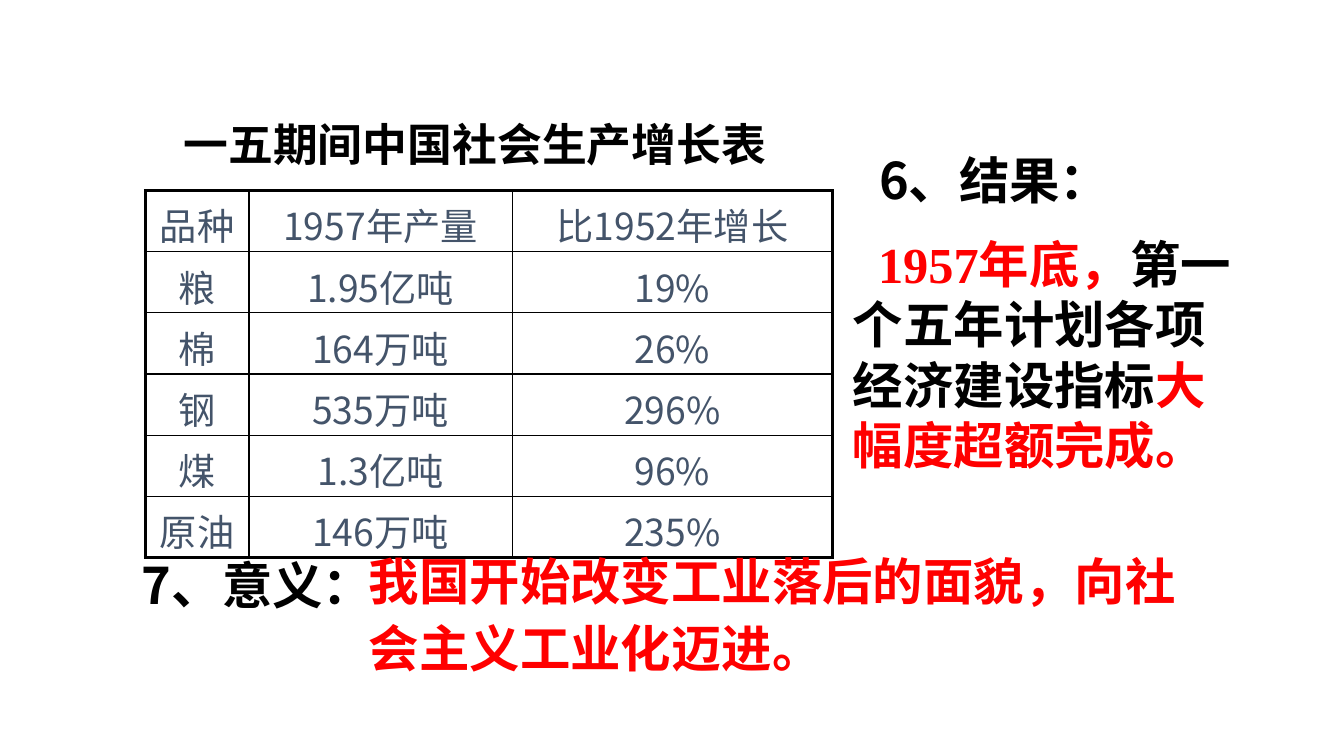
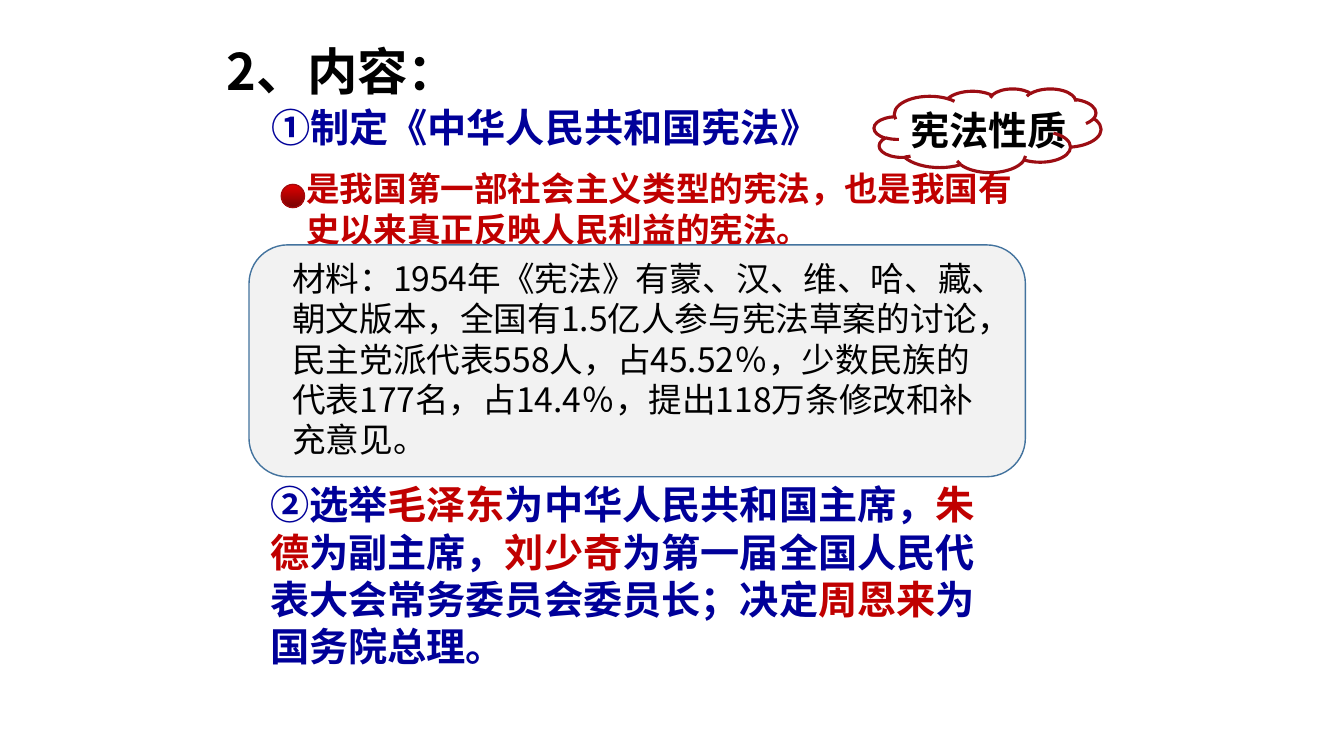
from dataclasses import dataclass
from itertools import product

from lxml.etree import SubElement
from pptx import Presentation
from pptx.dml.color import RGBColor as Rgb
from pptx.enum.shapes import MSO_SHAPE as Kind
from pptx.enum.text import MSO_ANCHOR as Anchor, MSO_AUTO_SIZE as Fit, PP_ALIGN as Align
from pptx.oxml.ns import qn
from pptx.util import Inches, Pt


@dataclass(frozen=True)
class Theme:
    black: str = "000000"
    red: str = "FF0000"
    deep: str = "C00000"
    navy: str = "000099"
    slate: str = "44546A"
    cloud: str = "9C0D13"
    ball: str = "A40A0D"
    glow: str = "E30000"
    shade: str = "760303"
    panel: str = "F2F2F2"
    edge: str = "43739E"
    sans: str = "Noto Sans CJK SC"
    serif: str = "Times New Roman"
    round: str = "Calibri"
    head: float = 36
    title: float = 32
    point: float = 28
    cell: float = 26.6
    body: float = 24
    thick: float = 2.25
    thin: float = 1


T = Theme()

ROWS = [
    ("品种", "1957年产量", "比1952年增长"),
    ("粮", "1.95亿吨", "19%"),
    ("棉", "164万吨", "26%"),
    ("钢", "535万吨", "296%"),
    ("煤", "1.3亿吨", "96%"),
    ("原油", "146万吨", "235%"),
]


def put(item, **vals):
    for key, val in vals.items():
        setattr(item, key, val)


def place(item, box):
    put(item, **dict(zip(("left", "top", "width", "height"), map(Inches, box))))


def write(frame, runs, size, bold=True, font=T.sans, indent=0, **form):
    para = frame.paragraphs[0]
    if indent:
        para._p.get_or_add_pPr().set("indent", str(Inches(indent)))
    put(para, **{"alignment": Align.LEFT, **form})
    for text, tint, *face in runs:
        run = para.add_run()
        run.text = text
        put(run.font, size=Pt(size), bold=bold, name=face[0] if face else font)
        run.font.color.rgb = Rgb.from_string(tint)
        SubElement(run._r.get_or_add_rPr(), qn("a:ea"), typeface=T.sans)


def label(slide, box, runs, size, wrap=True, **form):
    area = slide.shapes.add_textbox(*map(Inches, box))
    put(area.text_frame, word_wrap=wrap, auto_size=Fit.NONE)
    write(area.text_frame, runs, size, **form)


def head(slide, box, text, size):
    title = slide.shapes.title
    place(title, box)
    put(title.text_frame, word_wrap=True, auto_size=Fit.NONE, vertical_anchor=Anchor.TOP)
    write(title.text_frame, [(text, T.black)], size)


def shape(slide, kind, box, line, width):
    item = slide.shapes.add_shape(kind, *map(Inches, box))
    item.shadow.inherit = False
    item.fill.background()
    item.line.color.rgb = Rgb.from_string(line)
    item.line.width = Pt(width)
    return item


def border(cell, sides):
    props = cell._tc.get_or_add_tcPr()
    for side, width in sides.items():
        line = SubElement(props, qn("a:ln" + side), w=str(Pt(width)))
        fill = SubElement(line, qn("a:solidFill"))
        SubElement(fill, qn("a:srgbClr"), val=T.black)


def growth(slide, box, cols):
    last, end = len(ROWS) - 1, len(cols) - 1
    grid = slide.shapes.add_table(len(ROWS), len(cols), *map(Inches, box)).table
    put(grid, first_row=False, horz_banding=False)
    for col, width in zip(grid.columns, cols):
        col.width = Inches(width)
    for r, c in product(range(len(ROWS)), range(len(cols))):
        cell = grid.cell(r, c)
        outer = {"L": c == 0, "R": c == end, "T": r == 0, "B": r == last}
        border(cell, {side: T.thick if out else T.thin for side, out in outer.items()})
        cell.fill.background()
        put(cell, margin_left=0, margin_right=0, margin_top=Inches(0.07), margin_bottom=0)
        write(cell.text_frame, [(ROWS[r][c], T.slate)], T.cell, bold=False, alignment=Align.CENTER)


def result(slide, x, y):
    label(slide, (x + 0.26, y, 4.7, 0.71), [("6、结果：", T.black)], T.head)
    label(slide, (x, y + 0.83, 3.99, 3.1), [
        ("1957年底，", T.red),
        ("第一个五年计划各项经济建设指标", T.black),
        ("大幅度超额完成。", T.red),
    ], T.head, font=T.serif, indent=0.25)


def meaning(slide, x, y):
    label(slide, (x, y + 0.1, 4.41, 0.71), [("7、意义：", T.black)], T.head)
    label(slide, (x + 2.25, y, 8.66, 1.43),
          [("我国开始改变工业落后的面貌，向社会主义工业化迈进。", T.red)],
          T.head, font=T.serif, line_spacing=1.1)


def nature(slide, x, y):
    label(slide, (x + 0.26, y + 0.08, 4.02, 0.62), [("宪法性质", T.black)],
          T.point, line_spacing=1.1)
    shape(slide, Kind.CLOUD, (x, y, 2.25, 0.83), T.cloud, T.thick)


def remark(slide, x, y):
    label(slide, (x + 0.15, y, 7.33, 0.91),
          [("是我国第一部社会主义类型的宪法，也是我国有史以来真正反映人民利益的宪法。", T.deep)],
          T.body)
    ball = shape(slide, Kind.OVAL, (x, y + 0.21, 0.23, 0.23), T.ball, T.thin)
    ball.fill.gradient()
    ball.fill.gradient_angle = 270
    for stop, tint, spot in zip(ball.fill.gradient_stops, (T.glow, T.shade), (0, 1)):
        stop.color.rgb = Rgb.from_string(tint)
        stop.position = spot


def source(slide, x, y):
    panel = shape(slide, Kind.ROUNDED_RECTANGLE, (x, y, 7.7, 2.3), T.edge, T.thin)
    panel.fill.solid()
    panel.fill.fore_color.rgb = Rgb.from_string(T.panel)
    label(slide, (x + 0.33, y + 0.08, 7.1, 2.12), [(
        "材料：1954年《宪法》有蒙、汉、维、哈、藏、朝文版本，全国有1.5亿人参与宪法草案的讨论，"
        "民主党派代表558人，占45.52％，少数民族的代表177名，占14.4％，提出118万条修改和补充意见。",
        T.black)], T.body, bold=False)


def elect(slide, x, y):
    label(slide, (x, y, 7.49, 1.98), [
        ("②", T.navy, T.round),
        ("选举", T.navy),
        ("毛泽东", T.deep),
        ("为中华人民共和国主席，", T.navy),
        ("朱德", T.deep),
        ("为副主席，", T.navy),
        ("刘少奇", T.deep),
        ("为第一届全国人民代表大会常务委员会委员长；决定", T.navy),
        ("周恩来", T.deep),
        ("为国务院总理。", T.navy),
    ], T.point)


def plan(slide):
    head(slide, (1.72, 1.11, 6.2, 0.64), "一五期间中国社会生产增长表", T.title)
    growth(slide, (1.44, 1.89, 6.82, 3.27), (1.03, 2.61, 3.18))
    result(slide, 8.36, 1.43)
    meaning(slide, 1.31, 5.35)


def law(slide):
    head(slide, (2.15, 0.35, 7.06, 0.71), "2、内容：", T.head)
    nature(slide, 8.67, 0.88)
    remark(slide, 2.79, 1.62)
    label(slide, (2.59, 0.98, 5.66, 0.57),
          [("①", T.navy, T.round), ("制定《中华人民共和国宪法》", T.navy)],
          T.point, wrap=False)
    source(slide, 2.47, 2.43)
    elect(slide, 2.58, 4.72)


def main():
    deck = Presentation()
    put(deck, slide_width=Inches(13.33), slide_height=Inches(7.5))
    for build in (plan, law):
        build(deck.slides.add_slide(deck.slide_layouts[5]))
    deck.save("out.pptx")


if __name__ == "__main__":
    main()
